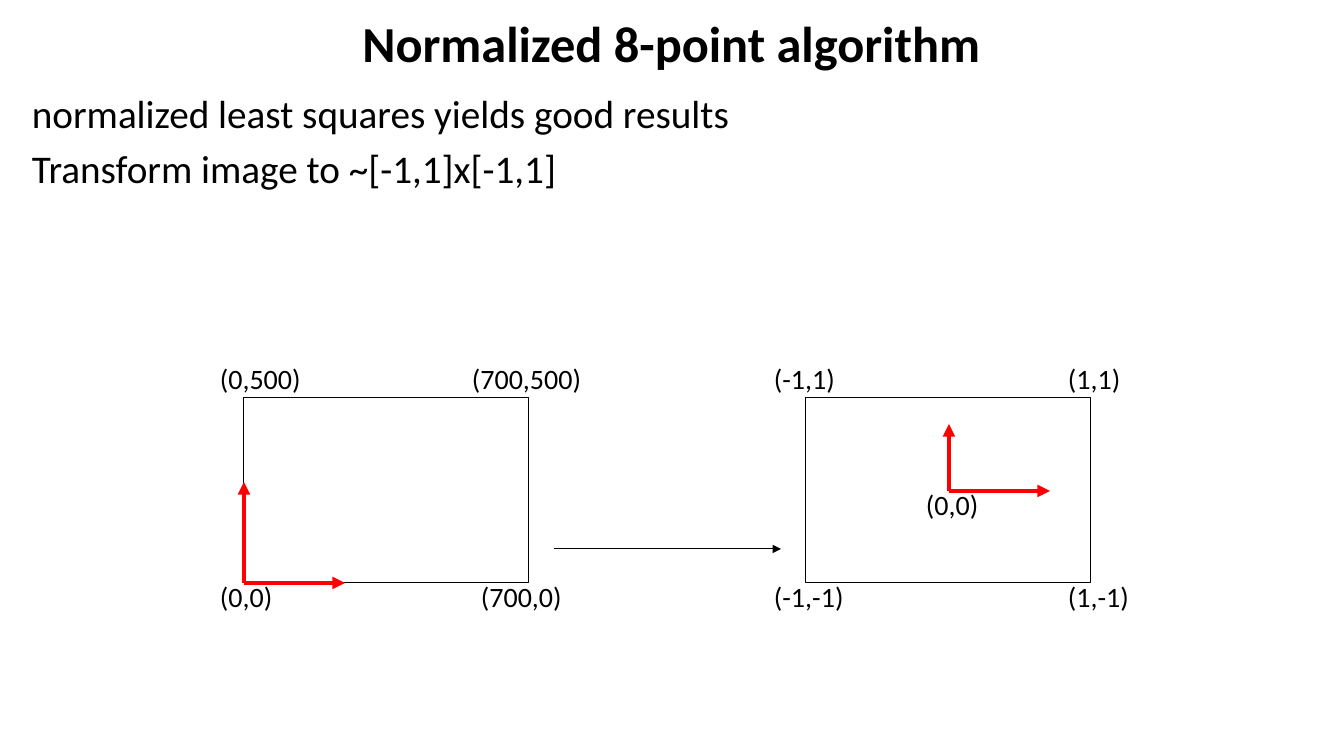
import pptx
import pptx.util
import pptx.dml.color
import pptx.enum.shapes
import pptx.enum.text
import pptx.oxml.ns
import lxml.etree

FONT = "Calibri"
BLACK, RED = "000000", "FF0000"
TITLE = "Normalized 8-point algorithm"
BODY = [
    "normalized least squares yields good results",
    "Transform image to ~[-1,1]x[-1,1]",
]
FRAME_W, FRAME_H, FRAME_TOP = 285, 185, 398
BASE = FRAME_TOP + FRAME_H
FRAMES = [244, 806]
HIGH, LOW = FRAME_TOP - 41, BASE - 8
LABELS = [
    ("(0,500)", 210, HIGH, 102),
    ("(700,500)", 462, HIGH, 130),
    ("(0,0)", 210, LOW, 74),
    ("(700,0)", 471, LOW, 102),
    ("(-1,1)", 764, HIGH, 83),
    ("(1,1)", 1058, HIGH, 74),
    ("(-1,-1)", 764, LOW, 93),
    ("(1,-1)", 1058, LOW, 83),
    ("(0,0)", 916, 483, 74),
]
AXES = [(244, BASE, 101, 101), (949, 491, 101, 67)]
MAP = (554, 549, 781, 549)


def px(n):
    return round(n * 914400 / 100.8)


def color(code):
    return pptx.dml.color.RGBColor.from_string(code)


def add_text(slide, lines, box, size, bold=False, align=None, wrap=True):
    frame = slide.shapes.add_textbox(*map(px, box)).text_frame
    frame.word_wrap = wrap
    frame.text = "\n".join(lines)
    for i, para in enumerate(frame.paragraphs):
        para.alignment = align
        if i:
            para.space_before = pptx.util.Pt(size * 0.2)
        font = para.runs[0].font
        font.name, font.size, font.bold = FONT, pptx.util.Pt(size), bold
        font.color.rgb = color(BLACK)
    return frame


def add_frame(slide, left):
    rect = slide.shapes.add_shape(
        pptx.enum.shapes.MSO_SHAPE.RECTANGLE,
        px(left), px(FRAME_TOP), px(FRAME_W), px(FRAME_H))
    rect.shadow.inherit = False
    rect.fill.background()
    rect.line.color.rgb = color(BLACK)
    rect.line.width = pptx.util.Pt(0.75)


def add_arrow(slide, ends, code, width):
    arrow = slide.shapes.add_connector(
        pptx.enum.shapes.MSO_CONNECTOR.STRAIGHT, *map(px, ends))
    arrow.line.color.rgb = color(code)
    arrow.line.width = pptx.util.Pt(width)
    qn = pptx.oxml.ns.qn
    tip = lxml.etree.SubElement(arrow.line._get_or_add_ln(), qn("a:tailEnd"))
    tip.set("type", "triangle")
    lxml.etree.SubElement(arrow._element.spPr, qn("a:effectLst"))


def main():
    deck = pptx.Presentation()
    deck.slide_width, deck.slide_height = px(1344), px(756)
    slide = deck.slides.add_slide(deck.slide_layouts[6])

    title = add_text(slide, [TITLE], (22, 0, 1299, 84), 36, True,
                     pptx.enum.text.PP_ALIGN.CENTER)
    title.vertical_anchor = pptx.enum.text.MSO_ANCHOR.MIDDLE
    add_text(slide, BODY, (22, 84, 1299, 630), 28)

    for left in FRAMES:
        add_frame(slide, left)
    for x, y, right, up in AXES:
        add_arrow(slide, (x, y, x + right, y), RED, 3)
        add_arrow(slide, (x, y, x, y - up), RED, 3)
    add_arrow(slide, MAP, BLACK, 0.75)
    for text, x, y, width in LABELS:
        add_text(slide, [text], (x, y, width, 43), 20, wrap=False)

    deck.save("out.pptx")


if __name__ == "__main__":
    main()
